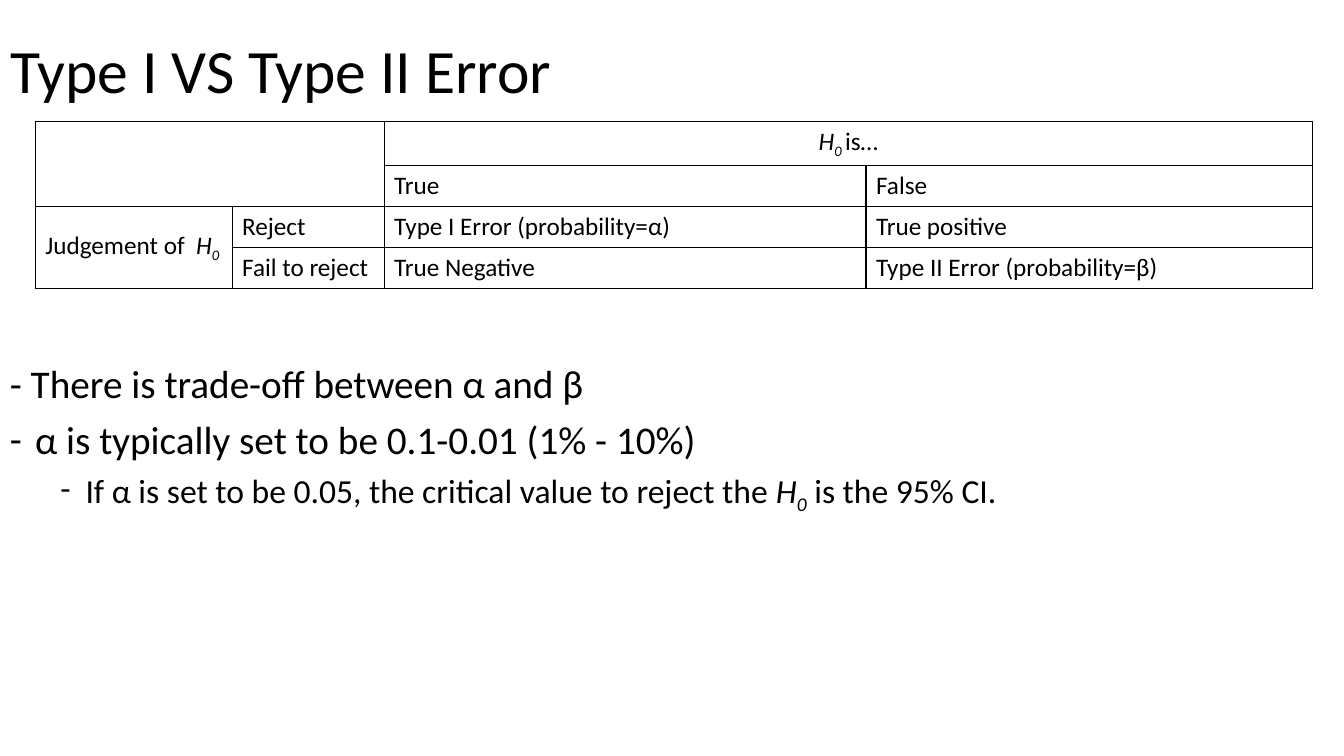
from dataclasses import dataclass

from lxml.etree import SubElement
from pptx import Presentation
from pptx.dml.color import RGBColor as Color
from pptx.enum.text import MSO_ANCHOR as Anchor, MSO_AUTO_SIZE as AutoSize, PP_ALIGN as Align
from pptx.oxml import parse_xml
from pptx.oxml.ns import nsdecls, qn
from pptx.util import Pt


@dataclass(frozen=True)
class Theme:
    font: str = "Calibri"
    ink: Color = Color(0, 0, 0)
    title: int = 44
    body: int = 28
    detail: int = 24
    table: int = 18
    border: int = 1


def set_attributes(target, values):
    for name, value in values.items():
        setattr(target, name, value)


class SlideBuilder:
    def __init__(self, slide, theme):
        self.slide = slide
        self.theme = theme

    def add_runs(self, paragraph, runs, size, **paragraph_format):
        """Fill a paragraph with (text, style) runs; style is "", "italic" or "sub"."""
        set_attributes(paragraph, paragraph_format)
        for text, style in runs:
            run = paragraph.add_run()
            run.text = text
            set_attributes(run.font, {"name": self.theme.font, "size": Pt(size),
                                      "bold": False, "italic": style != ""})
            run.font.color.rgb = self.theme.ink
            if style == "sub":
                run.font._element.set("baseline", "-25000")

    def place(self, shape, box, anchor):
        names = ("left", "top", "width", "height")
        set_attributes(shape, {name: Pt(value) for name, value in zip(names, box)})
        set_attributes(shape.text_frame, {"word_wrap": True, "auto_size": AutoSize.NONE,
                                          "vertical_anchor": anchor})

    def title(self, text, box):
        shape = self.slide.shapes.title
        self.place(shape, box, Anchor.MIDDLE)
        self.add_runs(shape.text_frame.paragraphs[0], [(text, "")], self.theme.title,
                      alignment=Align.LEFT, line_spacing=0.9)

    def body(self, items, box):
        """Each item is (runs, size, space before, level, left indent, has dash)."""
        shape = self.slide.shapes.add_textbox(*map(Pt, box))
        self.place(shape, box, Anchor.TOP)
        frame = shape.text_frame
        for index, (runs, size, space, level, indent, dash) in enumerate(items):
            paragraph = frame.add_paragraph() if index else frame.paragraphs[0]
            self.add_runs(paragraph, runs, size, line_spacing=0.9,
                          space_before=Pt(space), level=level)
            if dash:
                properties = paragraph._p.get_or_add_pPr()
                properties.set("marL", str(Pt(indent)))
                properties.set("indent", str(Pt(-18)))
                SubElement(properties, qn("a:buFont")).set("typeface", self.theme.font)
                SubElement(properties, qn("a:buChar")).set("char", "-")

    def cell_borders(self, cell):
        properties = cell._tc.get_or_add_tcPr()
        for position, side in enumerate(("lnL", "lnR", "lnT", "lnB")):
            properties.insert(position, parse_xml(
                f'<a:{side} {nsdecls("a")} w="{Pt(self.theme.border)}"><a:solidFill>'
                f'<a:srgbClr val="{self.theme.ink}"/></a:solidFill></a:{side}>'))

    def table(self, left, top, columns, row_height, rows, merges):
        frame = self.slide.shapes.add_table(
            len(rows), len(columns), Pt(left), Pt(top),
            Pt(sum(columns)), Pt(row_height * len(rows)))
        table = frame.table
        set_attributes(table, {"first_row": False, "horz_banding": False})
        for column, width in zip(table.columns, columns):
            column.width = Pt(width)
        for row, contents in zip(table.rows, rows):
            row.height = Pt(row_height)
            for cell, runs in zip(row.cells, contents):
                cell.vertical_anchor = Anchor.MIDDLE
                cell.fill.background()
                self.cell_borders(cell)
                paragraph = cell.text_frame.paragraphs[0]
                self.add_runs(paragraph, runs, self.theme.table)
        for first, last in merges:
            table.cell(*first).merge(table.cell(*last))
        return table


def plain(text):
    return [(text, "")]


theme = Theme()
presentation = Presentation()
set_attributes(presentation, {"slide_width": Pt(960), "slide_height": Pt(540)})
slide = presentation.slides.add_slide(presentation.slide_layouts.get_by_name("Title Only"))
builder = SlideBuilder(slide, theme)

# Title
builder.title("Type I VS Type II Error", (0, 0, 960, 104.4))

# Decision table
error_table = builder.table(
    left=25.2, top=86.8, columns=(140.6, 108.6, 344.2, 319), row_height=29.2,
    rows=[
        [[], [], [("H", "italic"), ("0 ", "sub"), ("is…", "")], []],
        [[], [], plain("True"), plain("False")],
        [[("Judgement of  ", ""), ("H", "italic"), ("0", "sub")], plain("Reject"),
         plain("Type I Error (probability=α)"), plain("True positive")],
        [[], plain("Fail to reject"), plain("True Negative"),
         plain("Type II Error (probability=β)")],
    ],
    merges=[((0, 0), (1, 1)), ((0, 2), (0, 3)), ((2, 0), (3, 0))])
error_table.cell(0, 2).text_frame.paragraphs[0].alignment = Align.CENTER

# Notes on the trade-off
builder.body([
    (plain("- There is trade-off between α and β"), theme.body, 10, 0, 0, False),
    (plain("α is typically set to be 0.1-0.01 (1% - 10%)"), theme.body, 10, 0, 18, True),
    ([("If α is set to be 0.05, the critical value to reject the ", ""),
      ("H", "italic"), ("0", "sub"), (" is the 95% CI.", "")], theme.detail, 5, 1, 54, True),
], (0, 257, 960, 283))

presentation.save("out.pptx")
